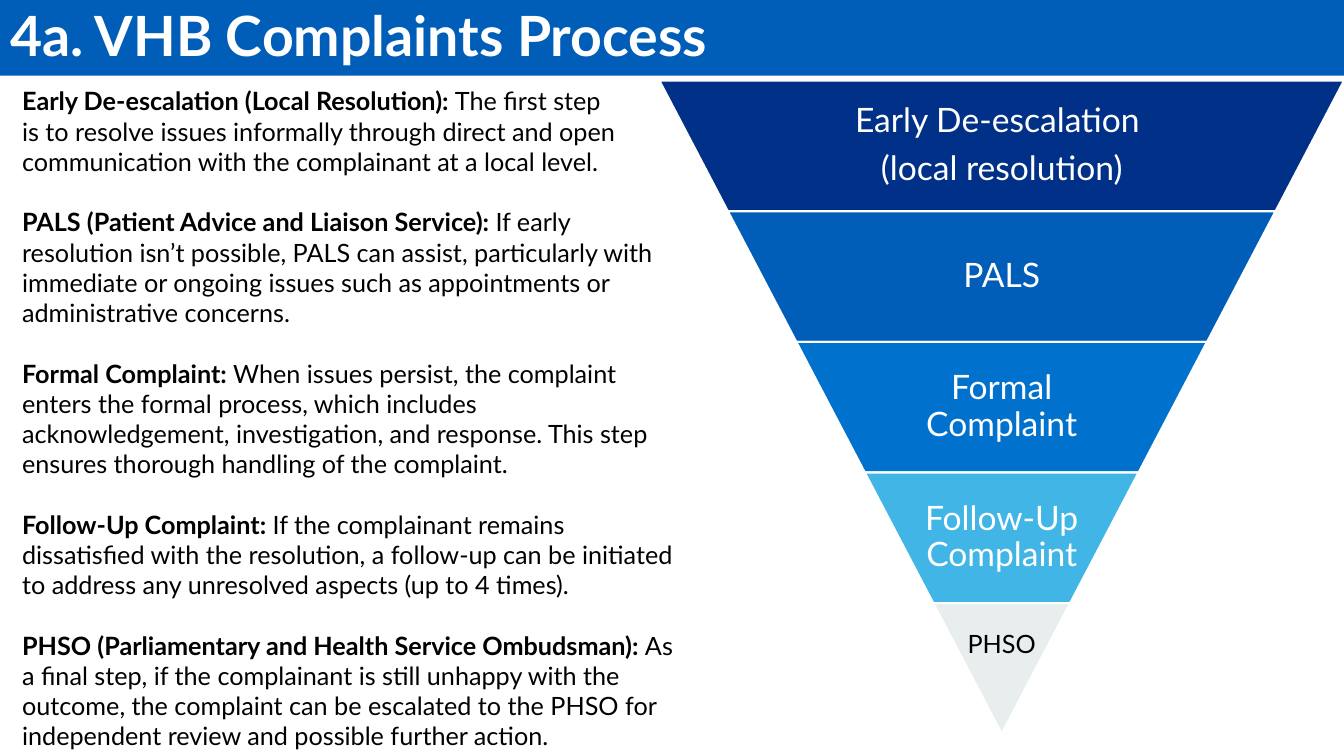
from pptx import Presentation
from pptx.dml.color import RGBColor
from pptx.enum.shapes import MSO_SHAPE as Preset
from pptx.enum.text import MSO_ANCHOR as Anchor, MSO_AUTO_SIZE as AutoSize, PP_ALIGN as Align
from pptx.util import Pt

COLOURS = {
    "white": "FFFFFF", "black": "000000", "navy": "003087", "blue": "005EB8",
    "bright": "0072CE", "sky": "41B6E6", "grey": "E8EDEE",
}


def colour(name):
    return RGBColor.from_string(COLOURS[name])


def add_span(para, text, size, ink, bold=False):
    span = para.add_run()
    span.text = text
    for key, value in {"name": "Lato", "size": Pt(size), "bold": bold}.items():
        setattr(span.font, key, value)
    span.font.color.rgb = colour(ink)


deck = Presentation()
deck.slide_width, deck.slide_height = Pt(960), Pt(540)
page = deck.slides.add_slide(deck.slide_layouts[1])
title, body = page.placeholders

# Title band, placed behind the title
band = page.shapes.add_shape(Preset.RECTANGLE, 0, 0, Pt(960), Pt(54))
band.shadow.inherit = False
band.fill.solid()
band.fill.fore_color.rgb = colour("blue")
band.line.fill.background()
band.element.getparent().insert(2, band.element)

# Title
title.left, title.top, title.width, title.height = Pt(0), Pt(3.6), Pt(828), Pt(47.5)
for key, value in {"vertical_anchor": Anchor.MIDDLE, "auto_size": AutoSize.NONE}.items():
    setattr(title.text_frame, key, value)
para = title.text_frame.paragraphs[0]
para.alignment, para.line_spacing = Align.LEFT, 0.9
add_span(para, "4a. VHB Complaints Process", 39.6, "white", bold=True)

# Descriptions of the steps
steps = [
    ("Early De-escalation (Local Resolution): ",
     "The first step\nis to resolve issues informally through direct and open "
     "communication with the complainant at a local level."),
    ("PALS (Patient Advice and Liaison Service): ",
     "If early resolution isn’t possible, PALS can assist, particularly with immediate "
     "or ongoing issues such as appointments or administrative concerns."),
    ("Formal Complaint: ",
     "When issues persist, the complaint enters the formal process, which includes "
     "acknowledgement, investigation, and response. This step ensures thorough "
     "handling of the complaint."),
    ("Follow-Up Complaint: ",
     "If the complainant remains dissatisfied with the resolution, a follow-up can be "
     "initiated to address any unresolved aspects (up to 4 times)."),
    ("PHSO (Parliamentary and Health Service Ombudsman): ",
     "As a final step, if the complainant is still unhappy with the outcome, the complaint "
     "can be escalated to the PHSO for independent review and possible further action."),
]
body.left, body.top, body.width, body.height = Pt(8.6), Pt(57.6), Pt(489), Pt(487.4)
body.text_frame.auto_size = AutoSize.NONE
for number, (heading, description) in enumerate(steps):
    para = body.text_frame.add_paragraph() if number else body.text_frame.paragraphs[0]
    for key, value in {"space_before": Pt(0), "space_after": Pt(21.6), "line_spacing": 1.0}.items():
        setattr(para, key, value)
    properties = para._p.get_or_add_pPr()
    properties.set("marL", "0")
    properties.set("indent", "0")
    properties.makeelement
    bullet = properties.makeelement(
        "{http://schemas.openxmlformats.org/drawingml/2006/main}buNone", {})
    properties.append(bullet)
    add_span(para, heading, 18, "black", bold=True)
    for row, line in enumerate(description.split("\n")):
        if row:
            para.add_line_break()
        add_span(para, line, 18, "black")

# Inverted pyramid: each level is one fifth narrower than the one above
levels = [
    ("navy", ["Early De-escalation ", "(local resolution)"]),
    ("blue", ["PALS"]),
    ("bright", ["Formal Complaint"]),
    ("sky", ["Follow-Up Complaint"]),
    ("grey", ["PHSO"]),
]
centre, top, full_width, level_height = 715.5, 57.6, 489, 93.3
pyramid = page.shapes.add_group_shape()
for number, (fill, lines) in enumerate(levels):
    width = full_width * (len(levels) - number) / len(levels)
    level_top = top + number * level_height
    level = pyramid.shapes.add_shape(Preset.TRAPEZOID, Pt(centre - width / 2), Pt(level_top),
                                     Pt(width), Pt(level_height))
    level.rotation = 180
    level.adjustments[0] = full_width / 10 / level_height
    level.shadow.inherit = False
    level.fill.solid()
    level.fill.fore_color.rgb = colour(fill)
    level.line.color.rgb = colour("white")
    level.line.width = Pt(1.5)

    # Label; the tip has a smaller dark one, set higher up
    if fill == "grey":
        size, ink, gap, margin = 18, "black", 0, 3.6
        label = page.shapes.add_textbox(Pt(centre - 35.7), Pt(446.4), Pt(71.4), Pt(29))
    else:
        size, ink, gap, margin = 24, "white", 8.4, 6
        label = pyramid.shapes.add_textbox(Pt(centre - width * 0.325), Pt(level_top),
                                           Pt(width * 0.65), Pt(level_height))
    frame = label.text_frame
    for key, value in {"word_wrap": True, "vertical_anchor": Anchor.MIDDLE,
                       "margin_left": Pt(margin), "margin_right": Pt(margin),
                       "margin_top": Pt(2.2), "margin_bottom": Pt(2.2)}.items():
        setattr(frame, key, value)
    for row, line in enumerate(lines):
        para = frame.add_paragraph() if row else frame.paragraphs[0]
        for key, value in {"alignment": Align.CENTER, "line_spacing": 0.9,
                           "space_after": Pt(gap)}.items():
            setattr(para, key, value)
        add_span(para, line, size, ink)

deck.save("out.pptx")
